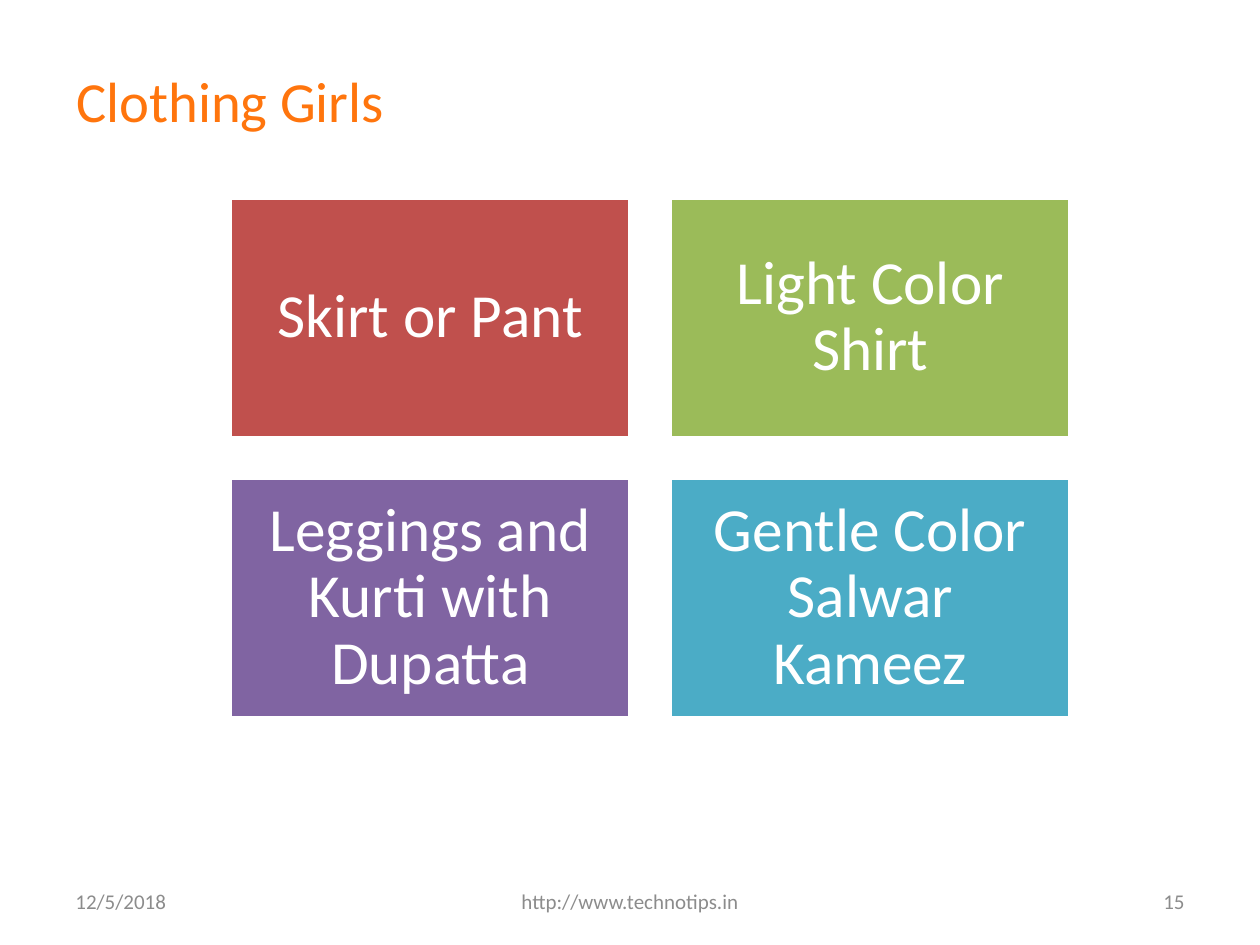
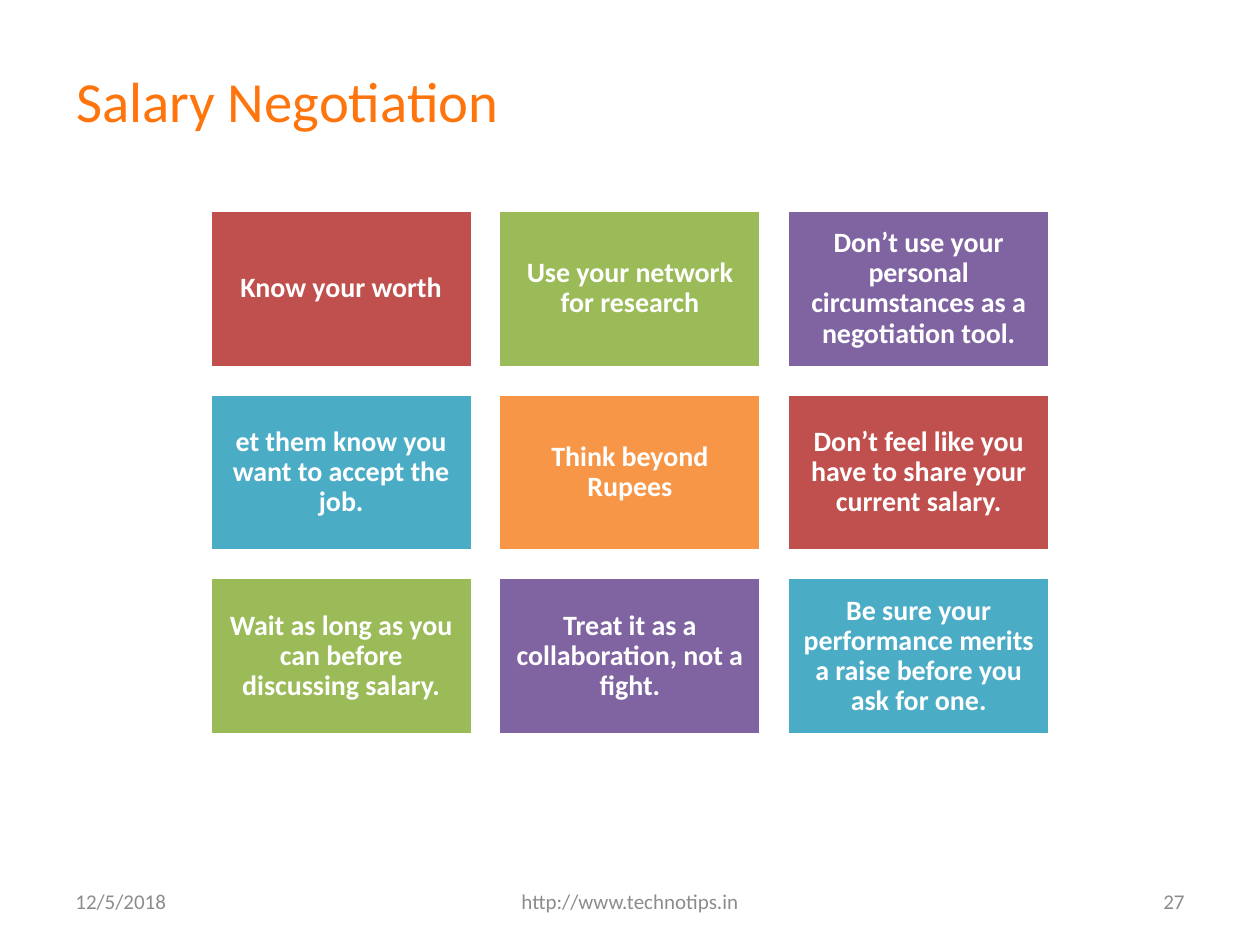
from itertools import cycle

from pptx import Presentation
from pptx.dml.color import RGBColor
from pptx.enum import shapes, text
from pptx.util import Pt

COLORS = {
    "title": "FF750D",
    "footer": "8C8C8C",
    "white": "FFFFFF",
    "red": "C0504D",
    "green": "9BBB59",
    "purple": "8064A2",
    "blue": "4BACC6",
    "orange": "F79646",
}
TILE_COLORS = ("red", "green", "purple", "blue", "orange")
FONT = "Calibri"
SITE = "http://www.technotips.in"
DATE = "12/5/2018"

LEFT, CENTER, RIGHT = text.PP_ALIGN.LEFT, text.PP_ALIGN.CENTER, text.PP_ALIGN.RIGHT

TITLE_BOX = (36.5, 36, 648, 42)
FOOTER_BOX = (36, 500.5, 648, 28.75)

CLOTHING = [
    "Skirt or Pant",
    "Light Color Shirt",
    "Leggings and Kurti with Dupatta",
    "Gentle Color Salwar Kameez",
]
NEGOTIATION = [
    "Know your worth",
    "Use your network for research",
    "Don’t use your personal circumstances as a negotiation tool.",
    "et them know you want to accept the job.",
    "Think beyond Rupees",
    "Don’t feel like you have to share your current salary.",
    "Wait as long as you can before discussing salary.",
    "Treat it as a collaboration, not a fight.",
    "Be sure your performance merits a raise before you ask for one.",
]


def rgb(name):
    return RGBColor.from_string(COLORS[name])


def write(shape, words, size, color, align, bold=False):
    """Fill a shape with one vertically centred paragraph."""
    frame = shape.text_frame
    frame.word_wrap = True
    frame.vertical_anchor = text.MSO_ANCHOR.MIDDLE
    line = frame.paragraphs[0]
    line.text = words
    line.alignment = align
    line.font.name = FONT
    line.font.size = Pt(size)
    line.font.bold = bold
    line.font.color.rgb = rgb(color)
    return frame


def add_label(slide, box, words, size, color, align):
    label = slide.shapes.add_textbox(*map(Pt, box))
    write(label, words, size, color, align)


def add_footer(slide, box, number):
    left, top, width, height = box
    side, middle = 168, 228
    parts = (
        (left, side, DATE, LEFT),
        (left + (width - middle) / 2, middle, SITE, CENTER),
        (left + width - side, side, str(number), RIGHT),
    )
    for x, part_width, words, align in parts:
        add_label(slide, (x, top, part_width, height), words, 12, "footer", align)


def add_tile(slide, box, words, color, size, bold):
    tile = slide.shapes.add_shape(shapes.MSO_SHAPE.RECTANGLE, *map(Pt, box))
    tile.shadow.inherit = False
    tile.fill.solid()
    tile.fill.fore_color.rgb = rgb(color)
    tile.line.color.rgb = rgb("white")
    tile.line.width = Pt(2)
    frame = write(tile, words, size, "white", CENTER, bold)
    frame.paragraphs[0].line_spacing = 0.9
    inset = Pt(0.3 * size)
    frame.margin_left = frame.margin_right = inset
    frame.margin_top = frame.margin_bottom = inset


def add_tile_grid(slide, box, columns, items, size, bold):
    """Tiles are 0.6 as high as wide, with gaps of a tenth of their width."""
    left, top, width = box
    tile_width = width / (columns + 0.1 * (columns - 1))
    tile_height, gap = 0.6 * tile_width, 0.1 * tile_width
    for index, (words, color) in enumerate(zip(items, cycle(TILE_COLORS))):
        row, column = divmod(index, columns)
        x = left + column * (tile_width + gap)
        y = top + row * (tile_height + gap)
        add_tile(slide, (x, y, tile_width, tile_height), words, color, size, bold)


def add_grid_slide(deck, title, number, box, columns, items, size, bold=False):
    slide = deck.slides.add_slide(deck.slide_layouts[6])
    add_label(slide, TITLE_BOX, title, 32.4, "title", LEFT)
    add_footer(slide, FOOTER_BOX, number)
    add_tile_grid(slide, box, columns, items, size, bold)


def main():
    deck = Presentation()
    deck.slide_width, deck.slide_height = Pt(720), Pt(540)
    add_grid_slide(deck, "Clothing Girls", 15, (131.6, 113.2, 480), 2, CLOTHING, 35)
    add_grid_slide(deck, "Salary Negotiation", 27, (120, 120, 480), 3,
                   NEGOTIATION, 16, bold=True)
    deck.save("out.pptx")


if __name__ == "__main__":
    main()
